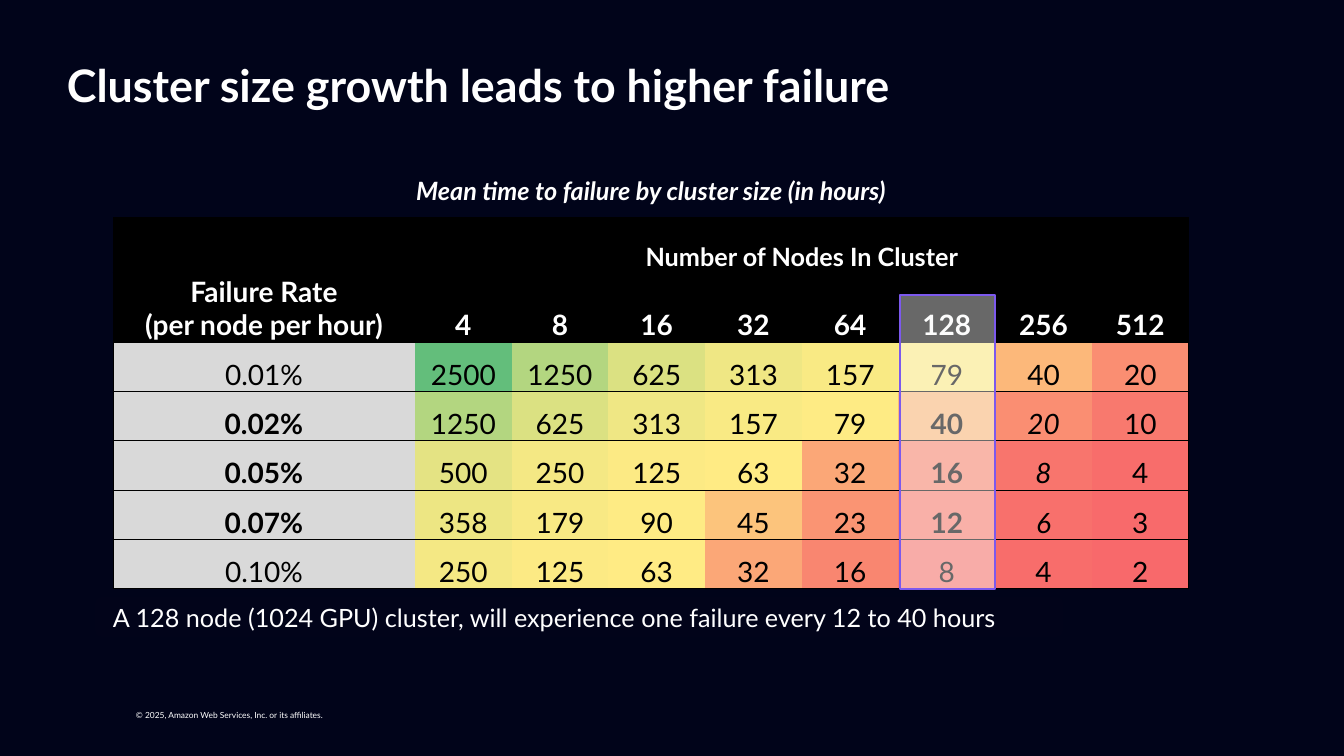
from lxml import etree
from pptx import Presentation
from pptx import util as u
from pptx.dml.color import RGBColor
from pptx.enum import shapes, text
from pptx.oxml.ns import qn

TITLE = "Cluster size growth leads to higher failure"
CAPTION = "Mean time to failure by cluster size (in hours)"
TAKEAWAY = "A 128 node (1024 GPU) cluster, will experience one failure every 12 to 40 hours"
COPYRIGHT = "© 2025, Amazon Web Services, Inc. or its affiliates."
NODES_HEADING = "Number of Nodes In Cluster"
RATE_HEADING = ["Failure Rate", "(per node per hour)"]
NODES = [4, 8, 16, 32, 64, 128, 256, 512]
HOURS = {
    "0.01%": [2500, 1250, 625, 313, 157, 79, 40, 20],
    "0.02%": [1250, 625, 313, 157, 79, 40, 20, 10],
    "0.05%": [500, 250, 125, 63, 32, 16, 8, 4],
    "0.07%": [358, 179, 90, 45, 23, 12, 6, 3],
    "0.10%": [250, 125, 63, 32, 16, 8, 4, 2],
}
KEY_RATES = ("0.02%", "0.05%", "0.07%")
HEAT = {
    2500: "63BE7B", 1250: "B3D680", 625: "DBE182", 500: "E4E383",
    358: "EDE683", 313: "EFE784", 250: "F4E884", 179: "F8E984",
    157: "F9EA84", 125: "FCEA84", 90: "FEEB84", 79: "FEEB84",
    63: "FFEB84", 45: "FCC47C", 40: "FCB87A", 32: "FBA777",
    23: "FA9473", 20: "FA8E72", 16: "F98670", 12: "F97C6E",
    10: "F8796E", 8: "F8756D", 6: "F8706C", 4: "F86D6B",
    3: "F86A6B", 2: "F8696B",
}

NAVY = RGBColor(0x01, 0x04, 0x1A)
PANEL = RGBColor(0x03, 0x05, 0x1A)
WHITE = RGBColor(0xFF, 0xFF, 0xFF)
BLACK = RGBColor(0, 0, 0)
GREY = RGBColor(0xD9, 0xD9, 0xD9)
VEIL = RGBColor(0xF9, 0xFA, 0xFA)
VIOLET = RGBColor(0x7C, 0x59, 0xED)

FONT = "Lato"
NO_STYLE = "{2D5ABB26-0587-4C30-8999-92F81FD0307C}"
LEFT = 113
TABLE_TOP = 217
RATE_W, NODES_W = 302, 774
HEADER_HEIGHTS = [55, 70]
BODY_H = 247


def px(n):
    return u.Emu(round(n * 914400 / 100.8))


def box(x, y, w, h):
    return px(x), px(y), px(w), px(h)


def write(tf, lines, size, color=WHITE, bold=False, italic=False,
          align=text.PP_ALIGN.LEFT, spacing=None):
    for i, line in enumerate(lines):
        p = tf.add_paragraph() if i else tf.paragraphs[0]
        p.alignment = align
        if spacing:
            p.line_spacing = spacing
        r = p.add_run()
        r.text = line
        f = r.font
        f.name, f.size, f.bold, f.italic = FONT, u.Pt(size), bold, italic
        f.color.rgb = color


def add_text(s, place, line, size, wrap=True, inset=0, **fmt):
    tf = s.shapes.add_textbox(*box(*place)).text_frame
    tf.word_wrap = wrap
    tf.margin_left = tf.margin_right = px(inset)
    write(tf, [line], size, **fmt)


def add_panel(s, kind, place, color, opacity):
    sp = s.shapes.add_shape(kind, *box(*place))
    sp.shadow.inherit = False
    sp.fill.solid()
    sp.fill.fore_color.rgb = color
    sp.line.fill.background()
    srgb = sp.fill._xPr.find(".//" + qn("a:srgbClr"))
    etree.SubElement(srgb, qn("a:alpha"), val=str(opacity * 1000))
    return sp


def fill_cell(cell, color, edges):
    tcPr = cell._tc.get_or_add_tcPr()
    for edge in edges:
        ln = etree.SubElement(tcPr, qn("a:ln" + edge), w=str(u.Pt(0.5)))
        solid = etree.SubElement(ln, qn("a:solidFill"))
        etree.SubElement(solid, qn("a:srgbClr"), val=str(BLACK))
    cell.fill.solid()
    cell.fill.fore_color.rgb = color


def write_cell(cell, lines, size=20, **fmt):
    cell.vertical_anchor = text.MSO_ANCHOR.BOTTOM
    cell.margin_left = cell.margin_right = cell.margin_top = px(1)
    cell.margin_bottom = 0
    write(cell.text_frame, lines, size, align=text.PP_ALIGN.CENTER, **fmt)


def add_failure_table(s):
    heights = HEADER_HEIGHTS + [BODY_H / len(HOURS)] * len(HOURS)
    widths = [RATE_W] + [NODES_W / len(NODES)] * len(NODES)
    frame = s.shapes.add_table(len(heights), len(widths),
                               *box(LEFT, TABLE_TOP, sum(widths), sum(heights)))
    tbl = frame.table
    tbl.first_row = tbl.horz_banding = False
    tbl._tbl.tblPr.find(qn("a:tableStyleId")).text = NO_STYLE
    for row, h in zip(tbl.rows, heights):
        row.height = px(h)
    for col, w in zip(tbl.columns, widths):
        col.width = px(w)

    last = len(NODES)
    tbl.cell(0, 1).merge(tbl.cell(0, last))
    for c in range(last + 1):
        fill_cell(tbl.cell(0, c), BLACK, "B")
        fill_cell(tbl.cell(1, c), BLACK, "TB")
    write_cell(tbl.cell(0, 1), [NODES_HEADING], 18, bold=True)
    write_cell(tbl.cell(1, 0), RATE_HEADING, bold=True)
    for c, n in enumerate(NODES, 1):
        write_cell(tbl.cell(1, c), [str(n)], bold=True)

    for r, (rate, hours) in enumerate(HOURS.items(), 2):
        key = rate in KEY_RATES
        fill_cell(tbl.cell(r, 0), GREY, "LTB")
        write_cell(tbl.cell(r, 0), [rate], color=BLACK, bold=key)
        for c, (n, value) in enumerate(zip(NODES, hours), 1):
            cell = tbl.cell(r, c)
            fill_cell(cell, RGBColor.from_string(HEAT[value]),
                      "RTB" if c == last else "TB")
            write_cell(cell, [str(value)], color=BLACK,
                       bold=key and n == 128, italic=key and n == 256)


def main():
    prs = Presentation()
    prs.slide_width, prs.slide_height = px(1344), px(756)
    s = prs.slides.add_slide(prs.slide_layouts[5])
    s.background.fill.solid()
    s.background.fill.fore_color.rgb = NAVY

    add_text(s, (126, 705, 217, 20), COPYRIGHT, 6, wrap=False, inset=10)
    add_panel(s, shapes.MSO_SHAPE.ROUNDED_RECTANGLE, (95, 597, 968, 40), PANEL, 73)

    title = s.shapes.title
    title.left, title.top, title.width, title.height = box(67, 59, 1210, 59)
    tf = title.text_frame
    tf.margin_left = tf.margin_right = 0
    tf.vertical_anchor = text.MSO_ANCHOR.TOP
    write(tf, [TITLE], 32, bold=True, spacing=0.9)

    add_failure_table(s)
    add_text(s, (303, 170, 696, 40), CAPTION, 18, bold=True, italic=True,
             align=text.PP_ALIGN.CENTER)
    add_text(s, (LEFT, 597, 1035, 40), TAKEAWAY, 18)

    highlight = add_panel(s, shapes.MSO_SHAPE.RECTANGLE, (900, 295, 95, 294), VEIL, 42)
    highlight.line.color.rgb = VIOLET
    highlight.line.width = u.Pt(1)
    prs.save("out.pptx")


if __name__ == "__main__":
    main()
